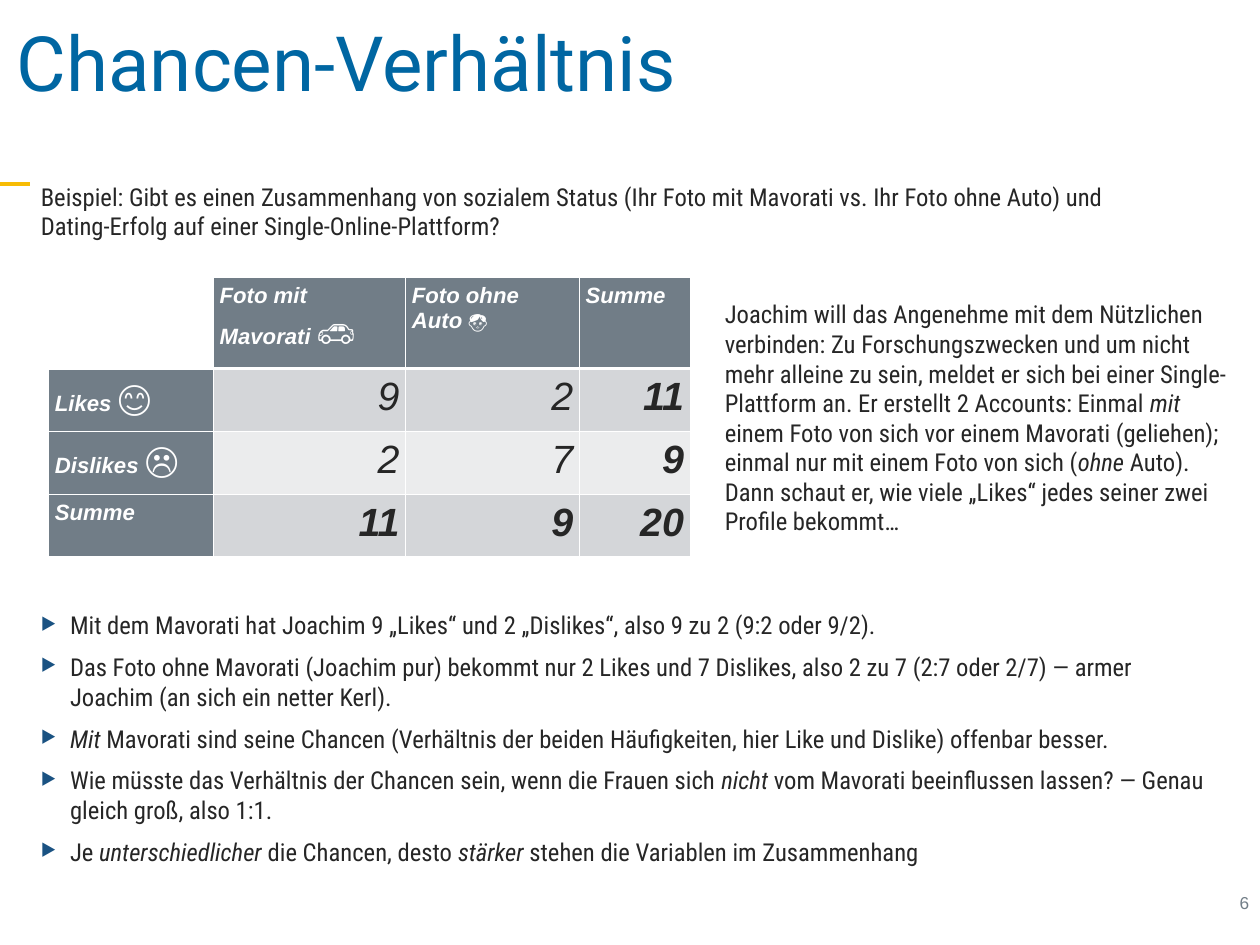
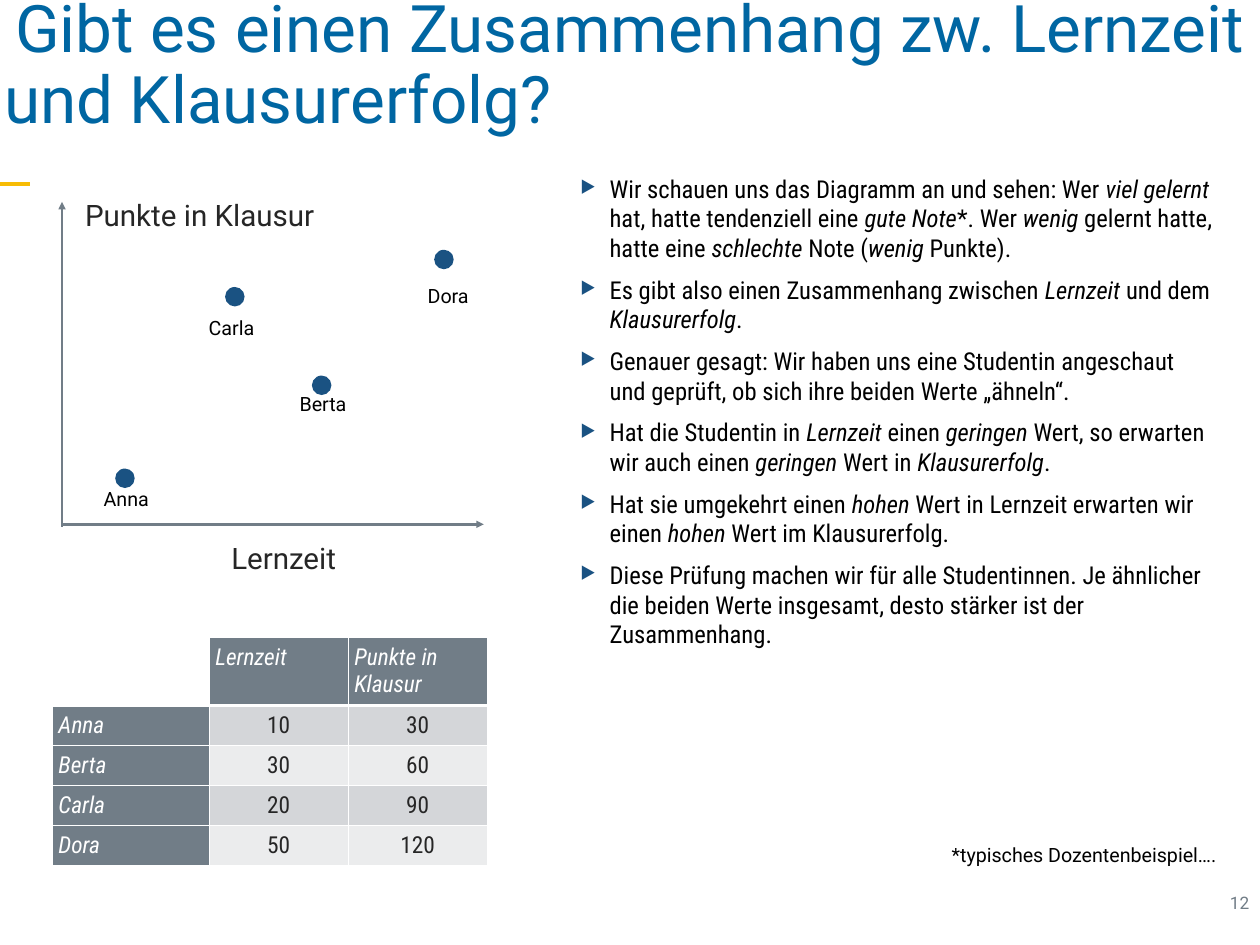
from lxml.etree import SubElement
from pptx import Presentation
from pptx.dml.color import RGBColor
from pptx.enum.shapes import MSO_CONNECTOR as CONN, MSO_SHAPE as SHAPE
from pptx.enum.text import MSO_ANCHOR as ANCHOR, MSO_AUTO_SIZE as FIT, PP_ALIGN as ALIGN
from pptx.oxml.ns import qn
from pptx.util import Pt

PX = 9144  # EMU per px, 100 px to the inch
W, H = 1422, 1067
C = {"title": "0066A2", "accent": "F7BC05", "blue": "1A5282", "gray": "717D87",
     "text": "262626", "black": "000000", "white": "FFFFFF",
     "band1": "D4D6D9", "band2": "EBECED"}
ARIAL, ROBOTO, CONDENSED, SYMBOLS = "Arial", "Roboto", "Roboto Condensed", "Lato"
INSET = 7

# Content; _underscores_ mark italics, tuples are (text, symbol, symbol size)
ODDS = {
    "title": "Chancen-Verhältnis",
    "example": "Beispiel: Gibt es einen Zusammenhang von sozialem Status (Ihr Foto mit "
               "Mavorati vs. Ihr Foto ohne Auto) und Dating-Erfolg auf einer "
               "Single-Online-Plattform?",
    "story": "Joachim will das Angenehme mit dem Nützlichen verbinden: Zu Forschungszwecken "
             "und um nicht mehr alleine zu sein, meldet er sich bei einer Single-Plattform an. "
             "Er erstellt 2 Accounts: Einmal _mit_ einem Foto von sich vor einem Mavorati "
             "(geliehen); einmal nur mit einem Foto von sich (_ohne_ Auto). Dann schaut er, "
             "wie viele „Likes“ jedes seiner zwei Profile bekommt…",
    "table": [
        ["", ("Foto mit Mavorati ", "🚗", 30), ("Foto ohne Auto ", "👦", 15), "Summe"],
        [("Likes ", "😊", 30), "9", "2", "11"],
        [("Dislikes ", "☹️", 30), "2", "7", "9"],
        ["Summe", "11", "9", "20"],
    ],
    "bullets": [
        "Mit dem Mavorati hat Joachim 9 „Likes“ und 2 „Dislikes“, also 9 zu 2 (9:2 oder 9/2).",
        "Das Foto ohne Mavorati (Joachim pur) bekommt nur 2 Likes und 7 Dislikes, also 2 zu 7 "
        "(2:7 oder 2/7) — armer Joachim (an sich ein netter Kerl).",
        "_Mit_ Mavorati sind seine Chancen (Verhältnis der beiden Häufigkeiten, hier Like und "
        "Dislike) offenbar besser.",
        "Wie müsste das Verhältnis der Chancen sein, wenn die Frauen sich _nicht_ vom Mavorati "
        "beeinflussen lassen? — Genau gleich groß, also 1:1.",
        "Je _unterschiedlicher_ die Chancen, desto _stärker_ stehen die Variablen im "
        "Zusammenhang",
    ],
}
EXAM = {
    "title": "Gibt es einen Zusammenhang zw. Lernzeit und Klausurerfolg?",
    "table": [
        ["", "Lernzeit", "Punkte in Klausur"],
        ["Anna", "10", "30"],
        ["Berta", "30", "60"],
        ["Carla", "20", "90"],
        ["Dora", "50", "120"],
    ],
    # name, dot left and top, label left, top and width
    "students": [
        ("Anna", 130, 529, 107, 543, 68),
        ("Berta", 352, 424, 329, 435, 69),
        ("Carla", 254, 324, 225, 350, 69),
        ("Dora", 490, 282, 472, 313, 64),
    ],
    "axes": [("Lernzeit", 254, 603, 134), ("Punkte in Klausur", 89, 215, 277)],
    "bullets": [
        "Wir schauen uns das Diagramm an und sehen: Wer _viel gelernt_ hat, hatte tendenziell "
        "eine _gute Note_*. Wer _wenig_ gelernt hatte, hatte eine _schlechte_ Note (_wenig_ "
        "Punkte).",
        "Es gibt also einen Zusammenhang zwischen _Lernzeit_ und dem _Klausurerfolg_.",
        "Genauer gesagt: Wir haben uns eine Studentin angeschaut und geprüft, ob sich ihre "
        "beiden Werte „ähneln“.",
        "Hat die Studentin in _Lernzeit_ einen _geringen_ Wert, so erwarten wir auch einen "
        "_geringen_ Wert in _Klausurerfolg_.",
        "Hat sie umgekehrt einen _hohen_ Wert in Lernzeit erwarten wir einen _hohen_ Wert im "
        "Klausurerfolg.",
        "Diese Prüfung machen wir für alle Studentinnen. Je ähnlicher die beiden Werte "
        "insgesamt, desto stärker ist der Zusammenhang.",
    ],
    "note": "*typisches Dozentenbeispiel….",
}


def rgb(name):
    return RGBColor.from_string(C[name])


def px(*lengths):
    return [n * PX for n in lengths]


def write(tf, *paragraphs, size=20, font=CONDENSED, color="text", bold=False, italic=False,
          align=ALIGN.LEFT, spacing=1.0, indent=0, bullet=False):
    for i, content in enumerate(paragraphs):
        p = tf.paragraphs[0] if i == 0 else tf.add_paragraph()
        p.alignment, p.line_spacing = align, spacing
        p.space_before = Pt(10 if bullet else 0)
        pPr = p._p.get_or_add_pPr()
        pPr.set("marL", str(35 * PX if bullet else 0))
        pPr.set("indent", str((-35 if bullet else indent) * PX))
        if bullet:
            SubElement(SubElement(pPr, qn("a:buClr")), qn("a:srgbClr"), val=C["blue"])
            SubElement(pPr, qn("a:buSzPct"), val="200000")
            SubElement(pPr, qn("a:buChar"), char="‣")
        text, *symbol = content if isinstance(content, tuple) else (content,)
        runs = [(part, size, font, bold, italic or n % 2 == 1)
                for n, part in enumerate(text.split("_")) if part]
        if symbol:
            runs.append((symbol[0], symbol[1], SYMBOLS, False, False))
        for part, pt, face, b, it in runs:
            r = p.add_run()
            r.text, f = part, r.font
            f.size, f.name, f.bold, f.italic = Pt(pt), face, b, it
            f.color.rgb = rgb(color)


def frame(sp, box, inset=INSET, anchor=ANCHOR.TOP, wrap=True):
    sp.left, sp.top, sp.width, sp.height = px(*box)
    tf = sp.text_frame
    tf.auto_size, tf.word_wrap, tf.vertical_anchor = FIT.NONE, wrap, anchor
    tf.margin_left = tf.margin_right = tf.margin_top = tf.margin_bottom = inset * PX
    return tf


def label(s, box, text, wrap=False, **style):
    write(frame(s.shapes.add_textbox(*px(*box)), box, wrap=wrap), text, **style)


def line(s, x1, y1, x2, y2, color, width, arrow=False):
    c = s.shapes.add_connector(CONN.STRAIGHT, *px(x1, y1, x2, y2))
    c.line.color.rgb, c.line.width = rgb(color), Pt(width)
    if arrow:
        SubElement(c.line._get_or_add_ln(), qn("a:tailEnd"), type="triangle")
    SubElement(c._element.spPr, qn("a:effectLst"))


def table(s, left, top, widths, heights, rows, head, value, sums=False):
    box = px(left, top, sum(widths), sum(heights))
    t = s.shapes.add_table(len(rows), len(widths), *box).table
    t.first_row = t.horz_banding = False
    for col, w in zip(t.columns, widths):
        col.width = w * PX
    for row, h in zip(t.rows, heights):
        row.height = h * PX
    for i, row in enumerate(rows):
        for j, content in enumerate(row):
            cell = t.cell(i, j)
            cell.margin_left = cell.margin_right = INSET * PX
            cell.margin_top = cell.margin_bottom = INSET * PX
            # White borders, thick below the header row
            for side in "LRTB":
                thick = (i, side) in ((0, "B"), (1, "T"))
                ln = SubElement(cell._tc.get_or_add_tcPr(), qn("a:ln" + side),
                                w=str(Pt(3 if thick else 1)))
                SubElement(SubElement(ln, qn("a:solidFill")), qn("a:srgbClr"), val=C["white"])
            is_head = i == 0 or j == 0
            if i == j == 0:
                fill = "white"
            else:
                fill = "gray" if is_head else "band1" if i % 2 else "band2"
            cell.fill.solid()
            cell.fill.fore_color.rgb = rgb(fill)
            total = sums and (i == len(rows) - 1 or j == len(row) - 1)
            style = dict(head, color="white") if is_head else dict(value, bold=total)
            write(cell.text_frame, content, **style)


def base_slide(prs, content, number, number_font, title_size, title_indent, body_box):
    """Title, accent line, bullet list and page number of every slide."""
    s = prs.slides.add_slide(prs.slide_layouts[1])
    line(s, 0, 208, 34, 208, "accent", 3)
    write(frame(s.shapes.title, (0, -2, 1423, 155), 5, ANCHOR.MIDDLE), content["title"],
          size=title_size, font=ROBOTO, color="title", spacing=0.9, indent=title_indent)
    label(s, (1380, 1000, 37, 37), number, size=14, font=number_font, color="gray",
          align=ALIGN.RIGHT)
    return s, frame(s.placeholders[1], body_box)


def odds_slide(prs):
    s, body = base_slide(prs, ODDS, "6", ARIAL, 62, 14, (37, 682, 1347, 330))
    write(body, *ODDS["bullets"], bullet=True)
    label(s, (39, 198, 1288, 95), ODDS["example"], wrap=True)
    label(s, (811, 331, 583, 281), ODDS["story"], wrap=True)
    table(s, 55, 313, [186, 217, 196, 125], [103] + [71] * 3, ODDS["table"],
          head=dict(size=18, font=ARIAL, bold=True, italic=True),
          value=dict(size=32, font=ARIAL, italic=True, align=ALIGN.RIGHT), sums=True)


def exam_slide(prs):
    s, body = base_slide(prs, EXAM, "12", ROBOTO, 53.3, 12, (646, 189, 732, 550))
    write(body, *EXAM["bullets"], color="black", bullet=True)
    table(s, 59, 720, [177, 157, 157], [77] + [45] * 4, EXAM["table"],
          head=dict(size=19, italic=True), value=dict(size=19, align=ALIGN.CENTER))
    # Scatter diagram
    line(s, 70, 595, 70, 228, "gray", 2, arrow=True)
    line(s, 69, 592, 546, 592, "gray", 2, arrow=True)
    for text, x, y, w in EXAM["axes"]:
        label(s, (x, y, w, 55), text, size=24, font=ROBOTO)
    for name, dot_x, dot_y, x, y, w in EXAM["students"]:
        dot = s.shapes.add_shape(SHAPE.OVAL, *px(dot_x, dot_y, 22, 22))
        dot.shadow.inherit = False
        dot.fill.solid()
        dot.fill.fore_color.rgb = rgb("blue")
        dot.line.fill.background()
        label(s, (x, y, w, 41), name, size=16, font=ROBOTO, color="black", align=ALIGN.RIGHT)
    label(s, (1067, 945, 322, 41), EXAM["note"], size=16, font=ROBOTO, color="black")


def main():
    prs = Presentation()
    prs.slide_width, prs.slide_height = px(W, H)
    odds_slide(prs)
    exam_slide(prs)
    prs.save("out.pptx")


if __name__ == "__main__":
    main()
